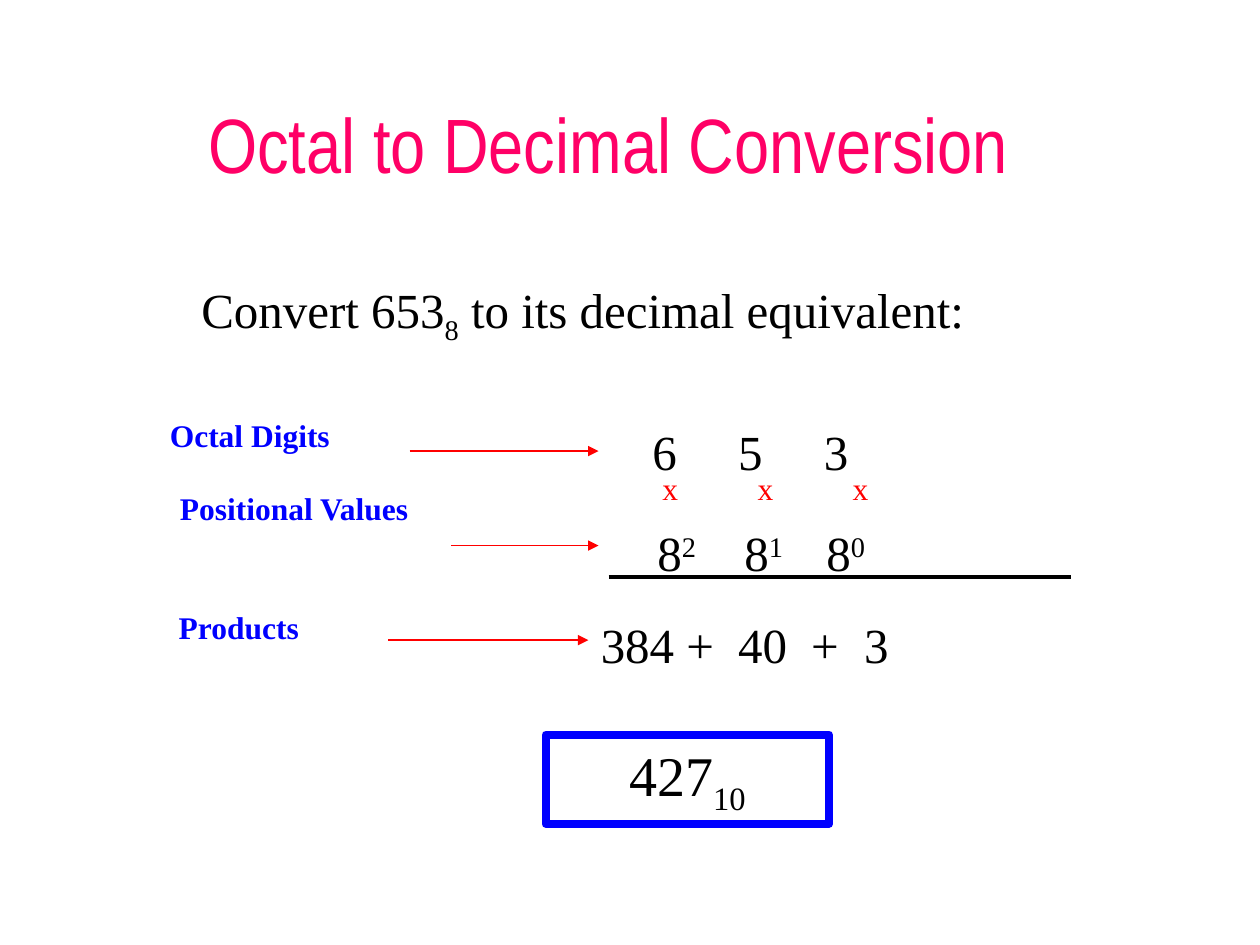
"""Build the octal to decimal conversion slide."""
from lxml import etree
from pptx import Presentation
from pptx import util as u
from pptx.dml import color
from pptx.enum import shapes, text
from pptx.oxml import ns

HUES = {"pink": "FF0066", "black": "000000", "red": "FF0000", "blue": "0000FF"}
SERIF = "Times New Roman"


def rgb(hue):
    return color.RGBColor.from_string(HUES[hue])


def write(shape, parts, size, hue, shift=0, stops=(), center=False, bold=False, face=SERIF):
    """Write parts, every second one raised or lowered by shift."""
    frame = shape.text_frame
    frame.word_wrap = True
    frame.vertical_anchor = text.MSO_ANCHOR.TOP
    para = frame.paragraphs[0]
    para.alignment = text.PP_ALIGN.CENTER if center else text.PP_ALIGN.LEFT
    if stops:
        tabs = etree.SubElement(para._p.get_or_add_pPr(), ns.qn("a:tabLst"))
        for stop in stops:
            etree.SubElement(tabs, ns.qn("a:tab"), pos=str(u.Inches(stop)), algn="l")
    for num, part in enumerate(parts):
        run = para.add_run()
        run.text = part
        font = run.font
        font.name, font.size, font.bold = face, u.Pt(size), bold
        font.color.rgb = rgb(hue)
        if num % 2:
            run._r.get_or_add_rPr().set("baseline", str(shift * 1000))
    return frame


deck = Presentation()
deck.slide_width, deck.slide_height = u.Inches(10), u.Inches(7.5)
slide = deck.slides.add_slide(deck.slide_layouts[6])
items = slide.shapes

box = items.add_textbox(u.Inches(0.33), u.Inches(0.25), u.Inches(9), u.Inches(1.25))
frame = write(box, ["Octal to Decimal Conversion"], 44, "pink", center=True, face="Arial Narrow")
frame.vertical_anchor = text.MSO_ANCHOR.BOTTOM
frame.margin_left = frame.margin_right = frame.margin_bottom = 0

rows = [
    (1.5, 2.17, 8.5, 4.5, ["Convert 653", "8", " to its decimal equivalent:"], -25, ()),
    (5.08, 3.3, 3.42, 0.57, ["6\t5\t3"], 0, (0.68, 1.36)),
    (5.12, 4.1, 3.63, 0.57, ["8", "2", "\t8", "1", "\t8", "0"], 30, (0.69, 1.34)),
    (4.67, 4.83, 4, 0.57, ["384 +\t40\t+\t3"], 0, (1.09, 1.67, 2.09)),
]
for left, top, wide, high, parts, shift, stops in rows:
    box = items.add_textbox(u.Inches(left), u.Inches(top), u.Inches(wide), u.Inches(high))
    write(box, parts, 28, "black", shift, stops)

for col in range(3):
    left = 5.07 + 0.755 * col
    box = items.add_textbox(u.Inches(left), u.Inches(3.67), u.Inches(0.5), u.Inches(0.4))
    write(box, ["x"], 18, "red", center=True)

labels = [
    ("Octal Digits", 1.25, 3.25, 1.47),
    ("Positional Values", 1.33, 3.83, 3.17),
    ("Products", 1.32, 4.78, 2.58),
]
for label, left, top, wide in labels:
    box = items.add_textbox(u.Inches(left), u.Inches(top), u.Inches(wide), u.Inches(0.4))
    frame = write(box, [label], 18, "blue", bold=True)
    frame.word_wrap = label != "Octal Digits"

lines = [
    (4.83, 8.5, 4.58, "black", 2.25),
    (3.25, 4.75, 3.58, "red", 1),
    (3.58, 4.75, 4.33, "red", 1),
    (3.08, 4.67, 5.08, "red", 1),
]
for start, end, top, hue, width in lines:
    line = items.add_connector(
        shapes.MSO_CONNECTOR.STRAIGHT,
        u.Inches(start), u.Inches(top), u.Inches(end), u.Inches(top))
    line.line.color.rgb = rgb(hue)
    line.line.width = u.Pt(width)
    if hue == "red":
        etree.SubElement(line.line._get_or_add_ln(), ns.qn("a:tailEnd"), type="triangle")
    etree.SubElement(line._element.spPr, ns.qn("a:effectLst"))

total = items.add_shape(
    shapes.MSO_SHAPE.RECTANGLE,
    u.Inches(4.33), u.Inches(5.83), u.Inches(2.25), u.Inches(0.71))
total.shadow.inherit = False
total.fill.background()
total.line.color.rgb = rgb("blue")
total.line.width = u.Pt(4.5)
write(total, ["427", "10"], 32, "black", -25, center=True)

deck.save("out.pptx")
